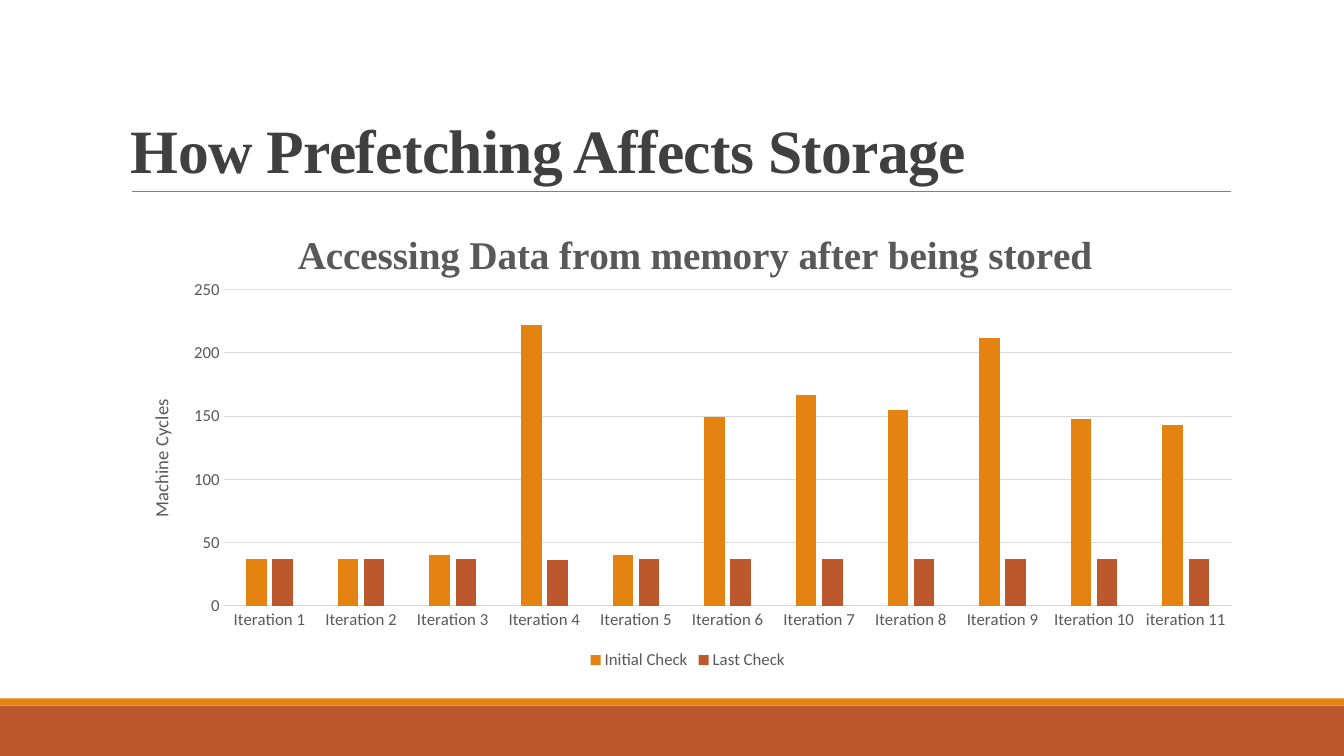
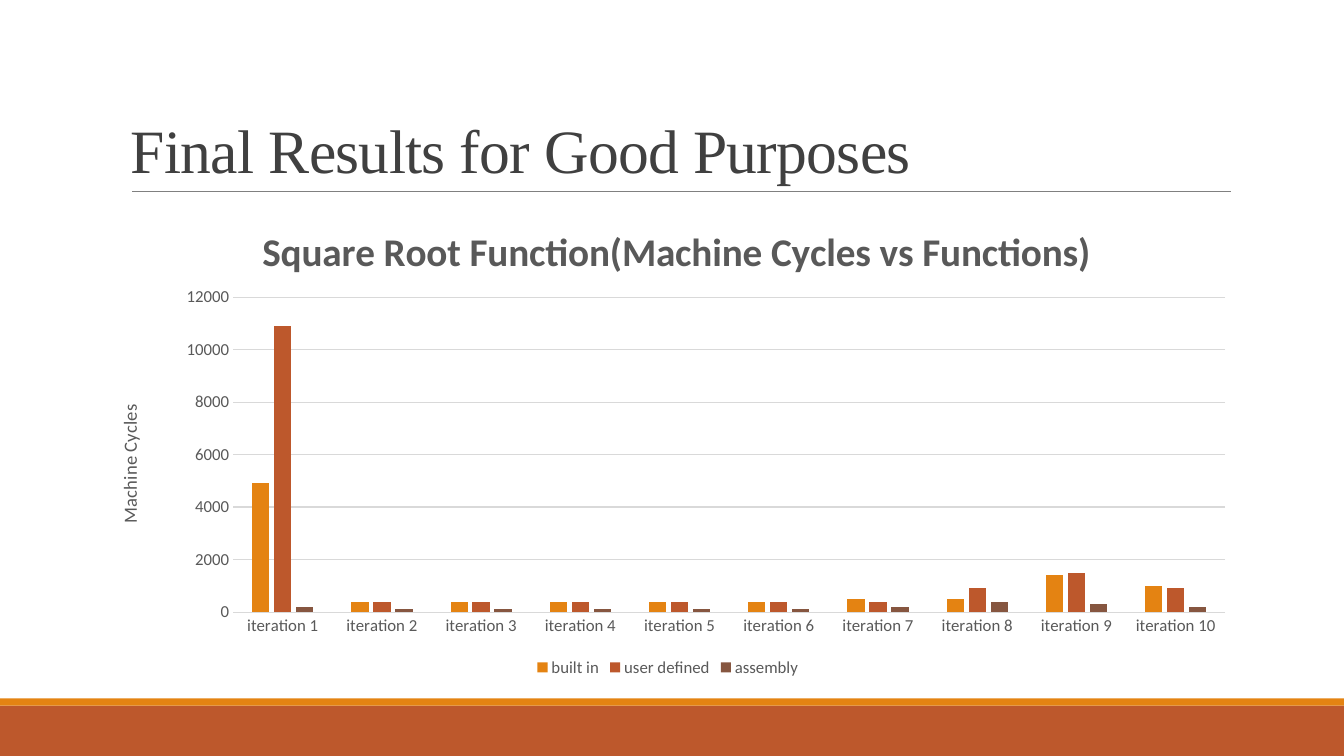
from dataclasses import dataclass
from typing import Any, NamedTuple

import pptx
import pptx.chart.data
import pptx.dml.color
import pptx.enum.chart
import pptx.enum.shapes
import pptx.enum.text
import pptx.oxml.ns
import pptx.oxml.xmlchemy
import pptx.util

SCALE = 9525  # EMU in one px, 96 px to the inch


# Theme
@dataclass(frozen=True)
class Theme:
    orange: str = "E48312"
    rust: str = "BD582C"
    brown: str = "865640"
    dark: str = "404040"
    grey: str = "595959"
    rule: str = "808080"
    grid: str = "D9D9D9"
    serif: str = "Times New Roman"
    sans: str = "Calibri"
    head: float = 44
    top: float = 28
    side: float = 13.3
    label: float = 12


THEME = Theme()
HUES = (THEME.orange, THEME.rust, THEME.brown)


class Box(NamedTuple):
    x: int
    y: int
    w: int = 0
    h: int = 0


class Band(NamedTuple):
    box: Box
    fill: str


class Plot(NamedTuple):
    title: str
    font: str
    frame: Box
    inner: Box
    head: Box
    side: Box
    names: list[str]
    rows: dict[str, tuple[int, ...]]
    peak: int
    step: int


class Page(NamedTuple):
    title: str
    bold: bool
    plot: Plot


# Content
BANDS = (
    Band(Box(0, 672, 1280, 48), THEME.rust),
    Band(Box(0, 665, 1280, 7), THEME.orange),
)
TITLE = Box(115, 30, 1056, 152)
RULE = Box(126, 182, 1046)

PAGES = (
    Page("How Prefetching Affects Storage", True, Plot(
        "Accessing Data from memory after being stored", THEME.serif,
        Box(115, 194, 1080, 448), Box(213, 276, 960, 301),
        Box(277, 212), Box(138, 377),
        [f"Iteration {n}" for n in range(1, 11)] + ["iteration 11"],
        {
            "Initial Check": (37, 37, 40, 222, 40, 149, 167, 155, 212, 148, 143),
            "Last Check": (37, 37, 37, 36, 37, 37, 37, 37, 37, 37, 37),
        },
        250, 50)),
    Page("Final Results for Good Purposes", False, Plot(
        "Square Root Function(Machine Cycles vs Functions)", THEME.sans,
        Box(84, 182, 1104, 467), Box(222, 283, 945, 300),
        Box(243, 208), Box(108, 382),
        [f"iteration {n}" for n in range(1, 11)],
        {
            "built in": (4900, 400, 400, 400, 400, 400, 500, 500, 1400, 1000),
            "user defined": (10900, 400, 400, 400, 400, 400, 400, 900, 1500, 900),
            "assembly": (200, 100, 100, 100, 100, 100, 200, 400, 300, 200),
        },
        12000, 2000)),
)


# Helpers
def px(size: int) -> int:
    return pptx.util.Emu(size * SCALE)


def rgb(code: str) -> pptx.dml.color.RGBColor:
    return pptx.dml.color.RGBColor.from_string(code)


def make(tag: str) -> Any:
    return pptx.oxml.xmlchemy.OxmlElement(tag)


def apply(item: Any, form: dict[str, Any]) -> None:
    for key, val in form.items():
        setattr(item, key, val)


def ink(font: Any, size: float, face: str, hue: str, bold: bool = False) -> None:
    apply(font, {"size": pptx.util.Pt(size), "name": face, "bold": bold})
    font.color.rgb = rgb(hue)


def stroke(line: Any, hue: str, width: float) -> None:
    line.color.rgb = rgb(hue)
    line.width = pptx.util.Pt(width)


def place(node: Any, box: Box, frame: Box) -> None:
    """Fix a chart part at a slide position, as fractions of the frame."""
    tag = pptx.oxml.ns.qn
    for old in node.findall(tag("c:layout")):
        node.remove(old)
    parts = {"xMode": "edge", "yMode": "edge",
             "x": (box.x - frame.x) / frame.w, "y": (box.y - frame.y) / frame.h}
    if box.w:
        parts = {"layoutTarget": "inner", **parts,
                 "w": box.w / frame.w, "h": box.h / frame.h}
    spot, hand = make("c:layout"), make("c:manualLayout")
    spot.append(hand)
    for key, val in parts.items():
        part = make(f"c:{key}")
        part.set("val", str(val))
        hand.append(part)
    node.insert(0 if node.find(tag("c:tx")) is None else 1, spot)


# Shared layout: title place, bands and rule
def dress(layout: Any, slide: Any) -> None:
    for spare in list(layout.placeholders)[1:]:
        spare.element.getparent().remove(spare.element)
    apply(layout.placeholders[0], dict(zip(("left", "top", "width", "height"), map(px, TITLE))))
    tree = layout.shapes.element
    for band in BANDS:
        shape = slide.shapes.add_shape(
            pptx.enum.shapes.MSO_SHAPE.RECTANGLE, *map(px, band.box))
        shape.shadow.inherit = False
        shape.fill.solid()
        shape.fill.fore_color.rgb = rgb(band.fill)
        shape.line.fill.background()
        tree.append(shape.element)
    rule = slide.shapes.add_connector(
        pptx.enum.shapes.MSO_CONNECTOR.STRAIGHT,
        px(RULE.x), px(RULE.y), px(RULE.x + RULE.w), px(RULE.y))
    stroke(rule.line, THEME.rule, 0.5)
    rule.element.spPr.append(make("a:effectLst"))
    tree.append(rule.element)


# Slide parts
def head(slide: Any, page: Page) -> None:
    frame = slide.shapes.title.text_frame
    apply(frame, {"text": page.title, "word_wrap": True,
                  "vertical_anchor": pptx.enum.text.MSO_ANCHOR.BOTTOM,
                  "auto_size": pptx.enum.text.MSO_AUTO_SIZE.NONE})
    para = frame.paragraphs[0]
    apply(para, {"alignment": pptx.enum.text.PP_ALIGN.LEFT, "line_spacing": 0.85})
    run = para.runs[0]
    ink(run.font, THEME.head, THEME.serif, THEME.dark, page.bold)
    run.font._element.set("spc", "-50")


def name(title: Any, text: str, size: float, face: str, bold: bool) -> None:
    title.text_frame.text = text
    ink(title.text_frame.paragraphs[0].runs[0].font, size, face, THEME.grey, bold)


def graph(slide: Any, plot: Plot) -> None:
    kinds = pptx.enum.chart
    data = pptx.chart.data.CategoryChartData()
    data.categories = plot.names
    for key, vals in plot.rows.items():
        data.add_series(key, vals)
    chart = slide.shapes.add_chart(
        kinds.XL_CHART_TYPE.COLUMN_CLUSTERED, *map(px, plot.frame), data).chart
    ink(chart.font, THEME.label, THEME.sans, THEME.grey)

    # Bars
    bars = chart.plots[0]
    apply(bars, {"gap_width": 219, "overlap": -27, "vary_by_categories": False})
    for row, hue in zip(bars.series, HUES):
        row.format.fill.solid()
        row.format.fill.fore_color.rgb = rgb(hue)

    # Axes
    cats, vals = chart.category_axis, chart.value_axis
    for axis in (cats, vals):
        apply(axis, {"major_tick_mark": kinds.XL_TICK_MARK.NONE,
                     "minor_tick_mark": kinds.XL_TICK_MARK.NONE})
        ink(axis.tick_labels.font, THEME.label, THEME.sans, THEME.grey)
    apply(vals, {"minimum_scale": 0, "maximum_scale": plot.peak,
                 "major_unit": plot.step, "has_major_gridlines": True})
    stroke(cats.format.line, THEME.grid, 0.75)
    stroke(vals.major_gridlines.format.line, THEME.grid, 0.75)
    vals.format.line.fill.background()

    # Legend, titles and positions
    chart.has_legend = True
    apply(chart.legend, {"position": kinds.XL_LEGEND_POSITION.BOTTOM,
                         "include_in_layout": False})
    ink(chart.legend.font, THEME.label, THEME.sans, THEME.grey)
    name(chart.chart_title, plot.title, THEME.top, plot.font, True)
    name(vals.axis_title, "Machine Cycles", THEME.side, THEME.sans, False)
    vals.axis_title.text_frame._txBody.bodyPr.set("rot", "-5400000")
    area = chart.element.find(".//" + pptx.oxml.ns.qn("c:plotArea"))
    for node, box in ((area, plot.inner), (chart.chart_title.element, plot.head),
                      (vals.axis_title.element, plot.side)):
        place(node, box, plot.frame)


def main() -> None:
    deck = pptx.Presentation()
    apply(deck, {"slide_width": px(1280), "slide_height": px(720)})
    layout = deck.slide_layouts.get_by_name("Title Only")
    slides = [deck.slides.add_slide(layout) for _ in PAGES]
    dress(layout, slides[0])
    for slide, page in zip(slides, PAGES):
        head(slide, page)
        graph(slide, page.plot)
    deck.save("out.pptx")


if __name__ == "__main__":
    main()
